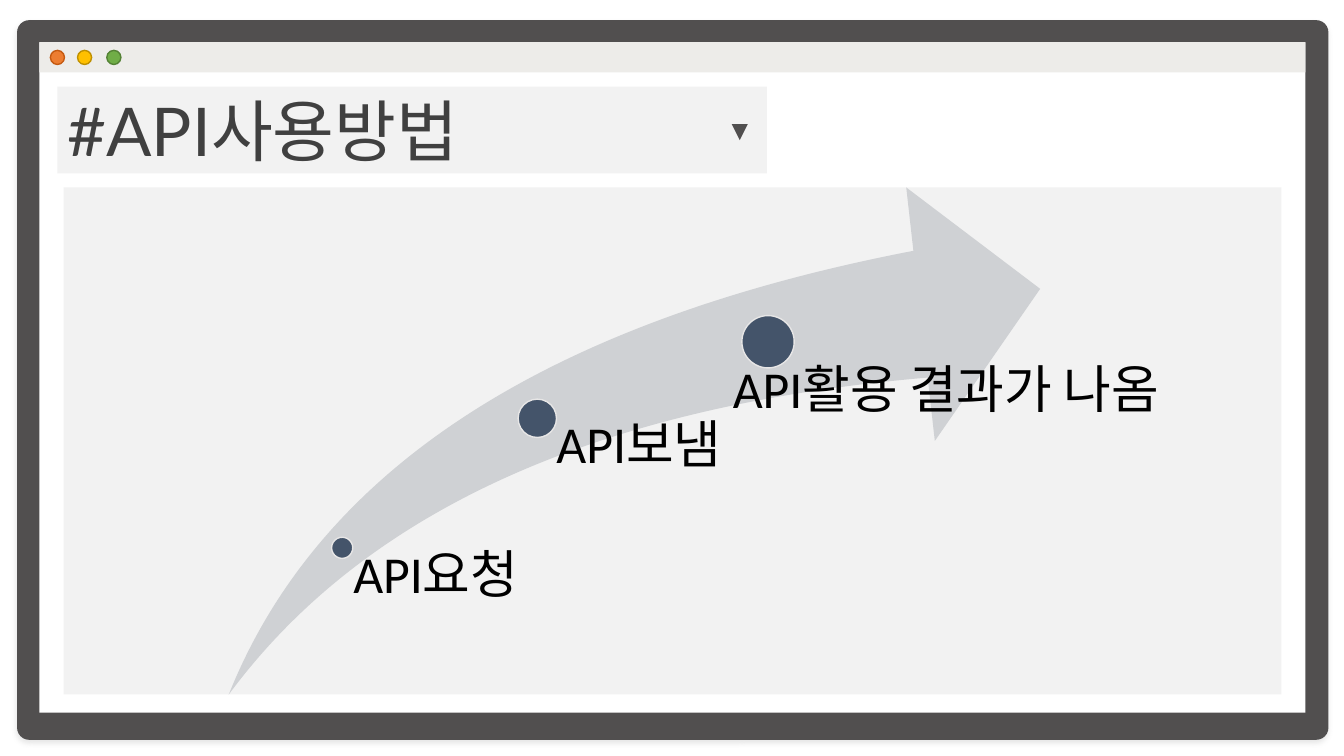
import dataclasses

import lxml.etree
import pptx
import pptx.dml.color
import pptx.enum.shapes
import pptx.enum.text
import pptx.oxml
import pptx.oxml.ns
import pptx.util

Pt = pptx.util.Pt
SHAPE = pptx.enum.shapes.MSO_SHAPE
DRAWING = pptx.oxml.ns.nsdecls("a")


@dataclasses.dataclass(frozen=True)
class Theme:
    frame: str = "514F4F"
    window: str = "FFFFFF"
    title_bar: str = "EDECE9"
    panel: str = "F2F2F2"
    arrow: str = "CFD1D4"
    milestone: str = "44546A"
    milestone_line: str = "E7E6E6"
    title_text: str = "404040"
    label_text: str = "000000"
    title_font: str = "Lato"
    label_font: str = "Calibri"
    title_size: int = 48
    label_size: int = 37


THEME = Theme()

# Left, top, width, height in points
FRAME = (12.2, 14.4, 936.7, 514.1)
WINDOW = (28.1, 30.2, 904.3, 478.8)
TITLE_BAR = WINDOW[:3] + (21.6,)
TITLE = (41, 61.9, 506.9, 61.9)
MENU_MARK = (522.7, 88.6, 11.5, 11.5)
PANEL = (45.4, 133.9, 869.8, 362.2)
ARROW = (163.4, 133.9, 579.6, 362.2)

# Left, fill, line
WINDOW_BUTTONS = [
    (36, "ED7D31", "C55A11"),
    (55.4, "FFC000", "BF9000"),
    (76.3, "70AD47", "548235"),
]

# Text, centre of the dot, diameter, left and top of the label, label width
MILESTONES = [
    ("API요청", (244.4, 391.3), 15.1, (244.8, 391.7), 135.4),
    ("API보냄", (383.8, 298.8), 27.4, (383.8, 298.8), 139),
    ("API활용 결과가 나옴", (548.6, 244.1), 37.4, (504.7, 259.9), 359.3),
]


def color(value):
    return pptx.dml.color.RGBColor.from_string(value)


def place(shape, box):
    shape.left, shape.top, shape.width, shape.height = map(Pt, box)


def add_shape(slide, kind, box, fill, line=None, adjustments=()):
    shape = slide.shapes.add_shape(kind, *map(Pt, box))
    shape.shadow.inherit = False
    shape.fill.solid()
    shape.fill.fore_color.rgb = color(fill)
    if line:
        shape.line.color.rgb = color(line)
        shape.line.width = Pt(1)
    else:
        shape.line.fill.background()
    for index, value in enumerate(adjustments):
        shape.adjustments[index] = value
    return shape


def add_soft_shadow(shape):
    effects = shape._element.spPr.find(pptx.oxml.ns.qn("a:effectLst"))
    effects.append(pptx.oxml.parse_xml(
        f'<a:outerShdw {DRAWING} blurRad="{Pt(4)}" dist="{Pt(3)}" dir="5400000">'
        '<a:srgbClr val="808080"><a:alpha val="20000"/></a:srgbClr></a:outerShdw>'))


def format_text(text_frame, text, font_name, size, text_color):
    text_frame.text = text
    paragraph = text_frame.paragraphs[0]
    paragraph.alignment = pptx.enum.text.PP_ALIGN.LEFT
    paragraph.font.name = font_name
    paragraph.font.size = Pt(size)
    paragraph.font.color.rgb = color(text_color)
    return paragraph


def format_title(title, text):
    place(title, TITLE)
    # Rounded outline goes between the position and the fill
    title._element.spPr.insert(1, pptx.oxml.parse_xml(
        f'<a:prstGeom {DRAWING} prst="roundRect"><a:avLst>'
        '<a:gd name="adj" fmla="val 34900"/></a:avLst></a:prstGeom>'))
    title.fill.solid()
    title.fill.fore_color.rgb = color(THEME.panel)
    format_text(title.text_frame, text, THEME.title_font, THEME.title_size, THEME.title_text)
    title.text_frame.word_wrap = False
    title.text_frame.auto_size = pptx.enum.text.MSO_AUTO_SIZE.NONE
    title.text_frame.vertical_anchor = pptx.enum.text.MSO_ANCHOR.MIDDLE
    # Bring the title in front of the window
    title._element.getparent().append(title._element)


def add_window(slide):
    frame = add_shape(slide, SHAPE.ROUNDED_RECTANGLE, FRAME, THEME.frame, adjustments=[0.017])
    add_soft_shadow(frame)
    add_shape(slide, SHAPE.RECTANGLE, WINDOW, THEME.window)
    add_shape(slide, SHAPE.RECTANGLE, TITLE_BAR, THEME.title_bar)
    for left, fill, line in WINDOW_BUTTONS:
        add_shape(slide, SHAPE.OVAL, (left, 36, 10.1, 10.1), fill, line)


def add_milestone(slide, text, centre, diameter, label_corner, label_width):
    radius = diameter / 2
    dot = (centre[0] - radius, centre[1] - radius, diameter, diameter)
    add_shape(slide, SHAPE.OVAL, dot, THEME.milestone, THEME.milestone_line)

    # The label reaches down to the bottom of the panel
    left, top = label_corner
    height = PANEL[1] + PANEL[3] - top
    label = slide.shapes.add_textbox(Pt(left), Pt(top), Pt(label_width), Pt(height))
    text_frame = label.text_frame
    text_frame.word_wrap = True
    text_frame.margin_left = Pt(radius)
    text_frame.margin_top = text_frame.margin_right = text_frame.margin_bottom = 0
    paragraph = format_text(
        text_frame, text, THEME.label_font, THEME.label_size, THEME.label_text)
    paragraph.line_spacing = 0.9


def main():
    presentation = pptx.Presentation()
    presentation.slide_width = Pt(960)
    presentation.slide_height = Pt(540)
    slide = presentation.slides.add_slide(presentation.slide_layouts[5])

    # Window and heading
    add_window(slide)
    format_title(slide.shapes.title, "#API사용방법")
    menu_mark = add_shape(slide, SHAPE.ISOSCELES_TRIANGLE, MENU_MARK, THEME.frame)
    menu_mark.rotation = 180

    # Rising arrow with its milestones
    add_shape(slide, SHAPE.RECTANGLE, PANEL, THEME.panel)
    add_shape(slide, SHAPE.SWOOSH_ARROW, ARROW, THEME.arrow, adjustments=[0.25, 0.25])
    for milestone in MILESTONES:
        add_milestone(slide, *milestone)

    presentation.save("out.pptx")


if __name__ == "__main__":
    main()
